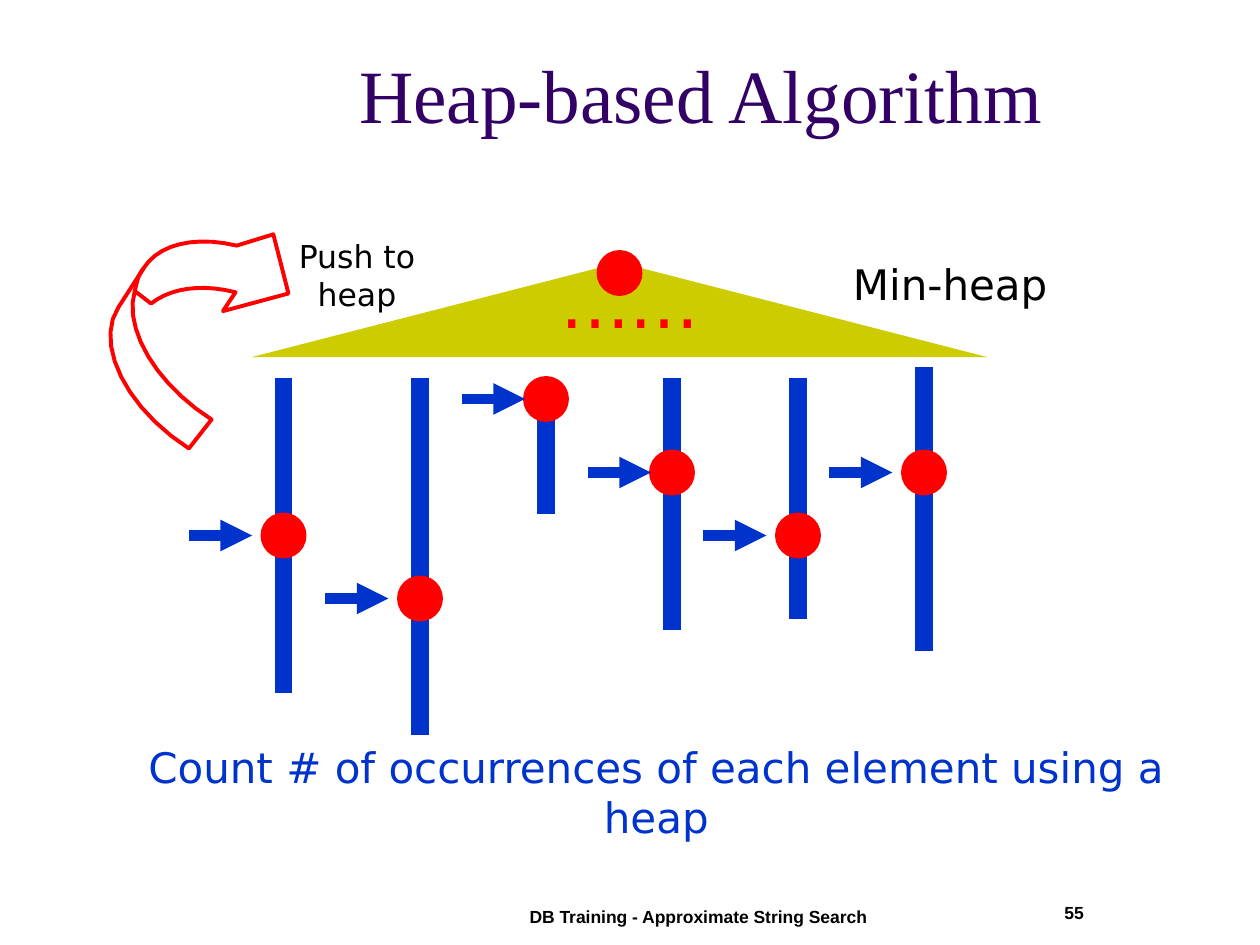
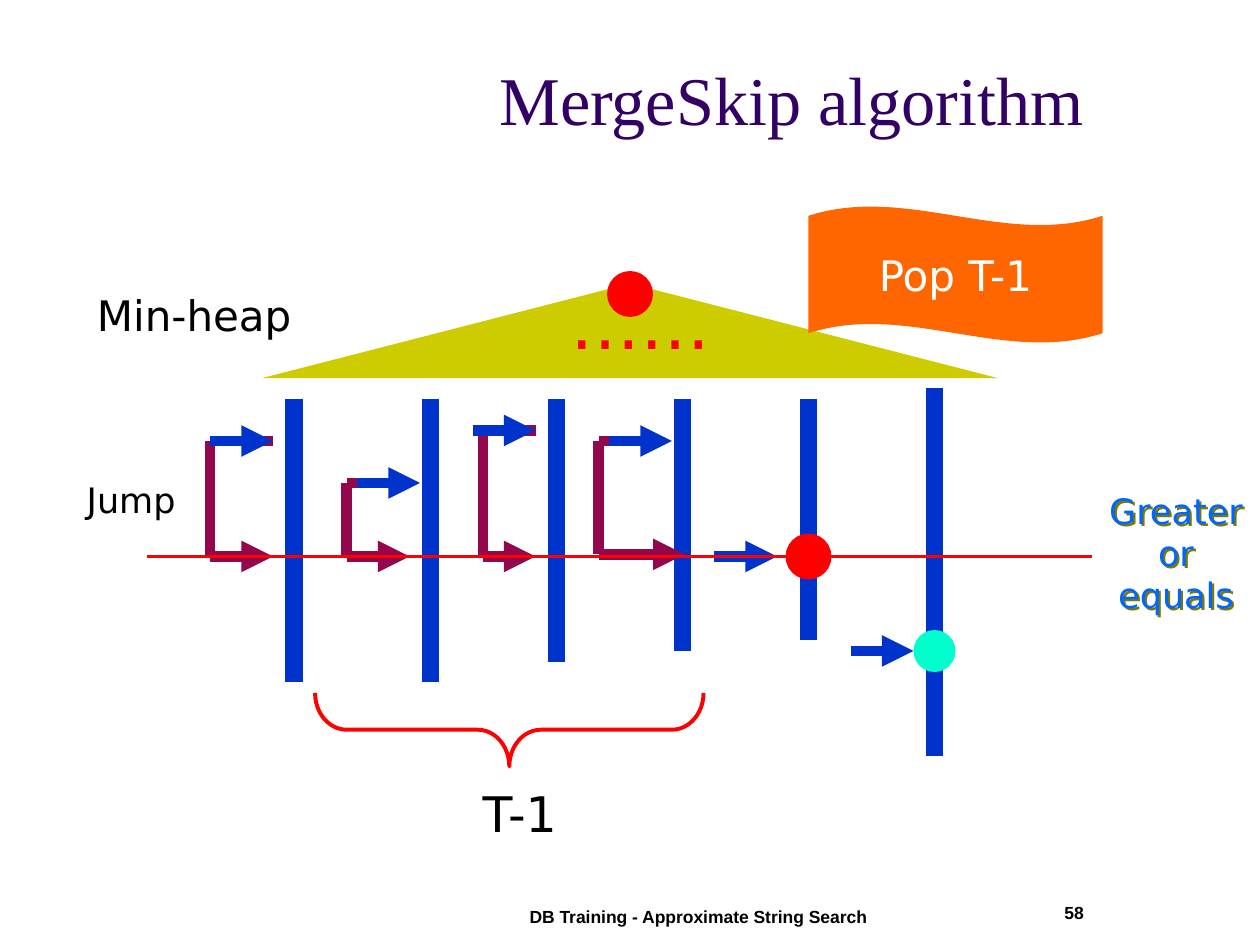
from lxml.etree import SubElement
from pptx import Presentation
from pptx.dml.color import RGBColor
from pptx.enum.shapes import MSO_CONNECTOR, MSO_SHAPE
from pptx.enum.text import MSO_ANCHOR, PP_ALIGN
from pptx.oxml.ns import qn
from pptx.util import Inches, Pt

BLACK = RGBColor(0, 0, 0)
WHITE = RGBColor(255, 255, 255)
PURPLE = RGBColor(0x33, 0x00, 0x66)
BLUE = RGBColor(0x00, 0x33, 0xCC)
SKY = RGBColor(0x00, 0x66, 0xFF)
RED = RGBColor(0xFF, 0x00, 0x00)
OLIVE = RGBColor(0xCC, 0xCC, 0x00)
PLUM = RGBColor(0x93, 0x07, 0x4D)
ORANGE = RGBColor(0xFF, 0x66, 0x00)
TEAL = RGBColor(0x00, 0xFF, 0xCC)
SHADE = "7A7A00"

GRID = 12
WIDE, TALL = 10 * GRID, 7.5 * GRID
THICK, MID, THIN = 10, 6, 2.25

FOOT = "DB Training - Approximate String Search"
BODY = {"name": "DejaVu Sans", "size": Pt(24)}
HEAD = {"name": "Times New Roman"}
SMALL = {"name": "Arial", "size": Pt(10), "bold": True}

# column, top, bottom, pointer row, gap between pointer and column
LISTS = [
    (27, 36, 66, 51, 3),
    (40, 36, 70, 57, 3),
    (52, 36, 49, 38, 2),
    (64, 36, 60, 45, 2),
    (76, 36, 59, 51, 3),
    (88, 35, 62, 45, 3),
]
BARS = [(28, 38, 65), (41, 38, 65), (53, 38, 63),
        (65, 38, 62), (77, 38, 61), (89, 37, 72)]
# left, top row, top end, bottom row, bottom end, start of blue pointer
JUMPS = [
    (20, 42, 26, 53, 26, 20),
    (33, 46, 39, 53, 39, 34),
    (46, 41, 51, 53, 51, 45),
    (57, 42, 63, 52.8, 65.2, 58),
]
MARK = 53

BEND = [
    [(1.5, 3.56), [(1, 3.24), (0.75, 2.73), (0.94, 2.44)], (1.14, 2.13),
     [(1.26, 1.94), (1.54, 1.87), (1.88, 1.95)], (2.17, 1.86), (2.29, 2.33),
     (1.77, 2.47), (1.87, 2.32), [(1.59, 2.25), (1.35, 2.29), (1.2, 2.41)],
     (1.07, 2.31), [(0.98, 2.61), (1.24, 3.05), (1.68, 3.33)], (1.5, 3.56)],
    [(1.14, 2.13), [(1.12, 2.16), (1.1, 2.19), (1.09, 2.23)], (1.07, 2.31)],
]


def unit(*nums):
    return [Inches(n / GRID) for n in nums]


def write(shape, words, color, style, align=PP_ALIGN.CENTER,
          anchor=MSO_ANCHOR.TOP):
    frame = shape.text_frame
    frame.word_wrap = True
    frame.vertical_anchor = anchor
    para = frame.paragraphs[0]
    para.alignment = align
    run = para.add_run()
    run.text = words
    for key, val in style.items():
        setattr(run.font, key, val)
    run.font.color.rgb = color


def label(slide, words, box, color=BLACK, size=24, style=BODY, **place):
    shape = slide.shapes.add_textbox(*unit(*box))
    write(shape, words, color, {"size": Pt(size), **style, "size": Pt(size)},
          **place)
    return shape


def plain(slide, kind, box, fill=None, edge=None):
    shape = slide.shapes.add_shape(kind, *unit(*box))
    paint(shape, fill, edge)
    return shape


def paint(shape, fill, edge):
    shape.shadow.inherit = False
    if fill is None:
        shape.fill.background()
    else:
        shape.fill.solid()
        shape.fill.fore_color.rgb = fill
    if edge is None:
        shape.line.fill.background()
    else:
        shape.line.color.rgb = edge
        shape.line.width = Pt(THIN)


def dot(slide, x, y, fill=RED, edge=RED):
    plain(slide, MSO_SHAPE.OVAL, (x - 2, y - 2, 4, 4), fill, edge)


def stroke(slide, ends, color=BLUE, width=MID, tip=False):
    wire = slide.shapes.add_connector(MSO_CONNECTOR.STRAIGHT, *unit(*ends))
    wire.line.color.rgb = color
    wire.line.width = Pt(width)
    if tip:
        SubElement(wire.line._get_or_add_ln(), qn("a:tailEnd"),
                   type="triangle")
    SubElement(wire._element.spPr, qn("a:effectLst"))


def trace(steps, count=10):
    points = []
    for step in steps:
        if isinstance(step, tuple):
            points.append(step)
            continue
        knots = [points[-1], *step]
        for i in range(1, count + 1):
            t = i / count
            parts = ((1 - t) ** 3, 3 * t * (1 - t) ** 2,
                     3 * t * t * (1 - t), t ** 3)
            points.append(tuple(sum(w * k[axis] for w, k in zip(parts, knots))
                                for axis in (0, 1)))
    return [(Inches(x), Inches(y)) for x, y in points]


def bend(slide):
    edge, fold = map(trace, BEND)
    pen = slide.shapes.build_freeform(*edge[0])
    pen.add_line_segments(edge[1:], close=True)
    pen.move_to(*fold[0])
    pen.add_line_segments(fold[1:], close=False)
    paint(pen.convert_to_shape(), None, RED)


def shade(shape):
    group = SubElement(shape._element.spPr, qn("a:effectLst"))
    cast = SubElement(group, qn("a:outerShdw"), dist="22000", dir="2700000",
                      algn="ctr", rotWithShape="0")
    SubElement(cast, qn("a:srgbClr"), val=SHADE)


def start(deck, title, right, size, page):
    slide = deck.slides.add_slide(deck.slide_layouts[6])
    label(slide, title, (right - 99, 1.8, 99, 12), PURPLE, size, HEAD,
          align=PP_ALIGN.RIGHT, anchor=MSO_ANCHOR.BOTTOM)
    label(slide, page, (89.6, 85.3, 14.8, 4), BLACK, 10, SMALL,
          align=PP_ALIGN.RIGHT)
    label(slide, FOOT, (47.5, 85.7, 38, 4), BLACK, 10, SMALL)
    return slide


def heap(slide, x, y):
    plain(slide, MSO_SHAPE.ISOSCELES_TRIANGLE, (x, y, 70, 9), OLIVE)
    dot(slide, x + 35, y + 1)
    label(slide, "……", (x + 23, y - 1, 26, 9.2), RED, 40)


def basic(deck):
    slide = start(deck, "Heap-based Algorithm", 100.4, 43, "55")
    heap(slide, 24, 25)
    label(slide, "Min-heap", (77, 24, 27, 6))
    label(slide, "Count # of occurrences of each element using a heap",
          (10.7, 70, 103.6, 10), BLUE)
    bend(slide)
    label(slide, "Push to heap", (25, 22, 18, 8.4), size=18)
    for x, top, end, row, gap in LISTS:
        stroke(slide, (x, top, x, end), width=THICK)
        dot(slide, x, row)
        stroke(slide, (x - gap - 6, row, x - gap, row), tip=True)


def skip(deck):
    slide = start(deck, "MergeSkip algorithm", 104.4, 39, "58")
    heap(slide, 25, 27)
    label(slide, "Min-heap", (5, 27, 27, 6))
    for x, top, end in BARS:
        stroke(slide, (x, top, x, end), width=THICK)
    for x, y in ((68, MARK), (81, 62)):
        stroke(slide, (x, y, x + 6, y), tip=True)
    dot(slide, 89, 62, TEAL, None)
    for x, top, end, low, tip, _ in JUMPS:
        stroke(slide, (x, top, end, top), PLUM)
        stroke(slide, (x, top, x, low), PLUM)
        stroke(slide, (x, low, tip, low), PLUM, tip=True)
    stroke(slide, (14, MARK, 104, MARK), RED, THIN)
    dot(slide, 77, MARK)
    for _, row, _, _, _, x in JUMPS:
        stroke(slide, (x, row, x + 6, row), tip=True)

    flag = plain(slide, MSO_SHAPE.WAVE, (77, 19.65, 28, 13), ORANGE)
    flag.adjustments[0] = 0.07
    write(flag, "Pop T-1", WHITE, BODY, anchor=MSO_ANCHOR.MIDDLE)
    brace = plain(slide, MSO_SHAPE.RIGHT_BRACE, (45, 51, 7, 37), edge=RED)
    brace.rotation = 90
    brace.adjustments[0] = 0.43
    label(slide, "T-1", (42, 74, 15, 6.8), size=28)
    label(slide, "Jump", (6, 45, 13, 5.3), size=20)
    shade(label(slide, "Greater or equals", (104, 46, 16, 13.2), SKY, 20))


def main():
    deck = Presentation()
    deck.slide_width, deck.slide_height = unit(WIDE, TALL)
    basic(deck)
    skip(deck)
    deck.save("out.pptx")


if __name__ == "__main__":
    main()
